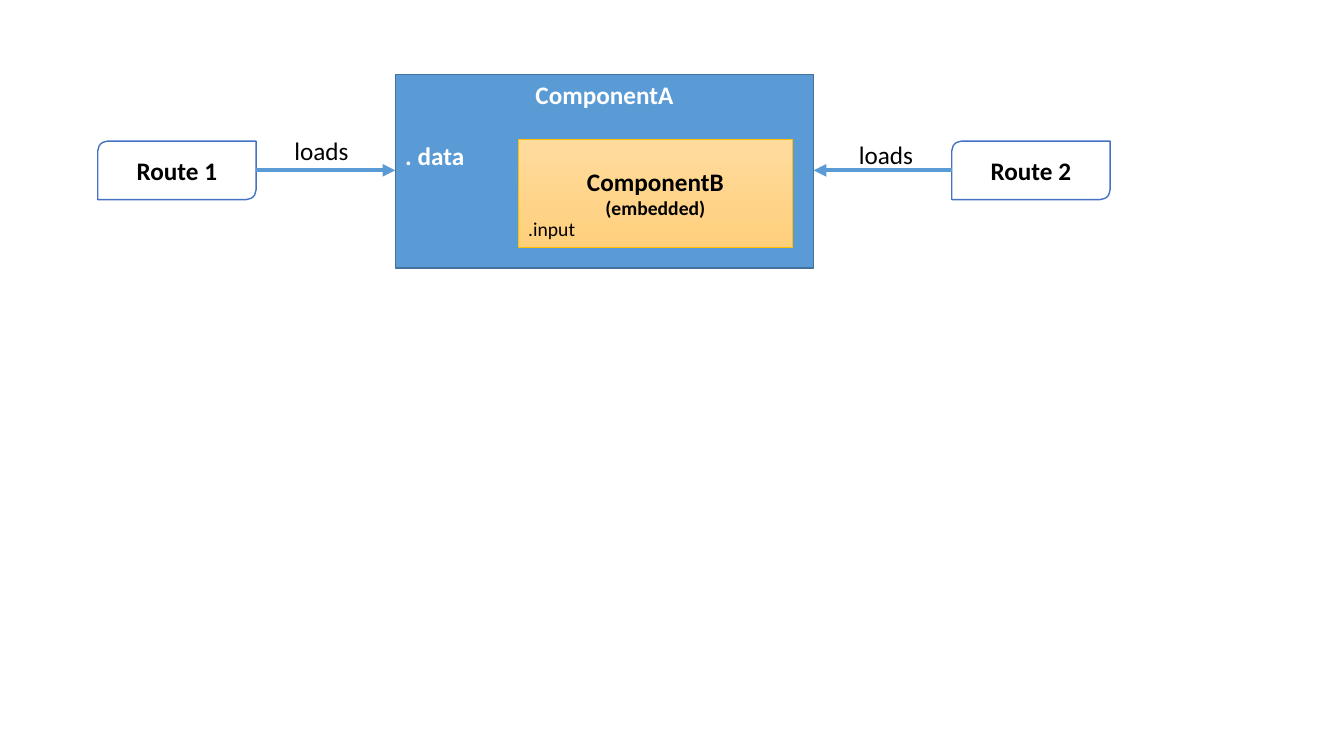
from pptx import Presentation
from pptx.dml.color import RGBColor
from pptx.enum.shapes import MSO_CONNECTOR as LINK, MSO_SHAPE as FORM
from pptx.enum.text import MSO_ANCHOR as ANCHOR, PP_ALIGN as ALIGN
from pptx.oxml.ns import qn
from pptx.util import Inches, Pt
from lxml.etree import SubElement

COLORS = {
    "white": "FFFFFF", "black": "000000", "blue": "5B9BD5", "edge": "43739E",
    "route": "4472C4", "gold": "FFC000", "light": "FFDB9E", "deep": "FFD07C",
}
MID = 1.69


def color(name):
    return RGBColor.from_string(COLORS[name])


def style(para, size=18, ink="black", bold=False, align=ALIGN.LEFT):
    para.alignment = align
    font = para.font
    font.name, font.size, font.bold = "Calibri", Pt(size), bold
    font.color.rgb = color(ink)


def add_box(slide, form, box, line, width=1, fill=None):
    shape = slide.shapes.add_shape(form, *map(Inches, box))
    shape.shadow.inherit = False
    shape.line.color.rgb = color(line)
    shape.line.width = Pt(width)
    if fill:
        shape.fill.solid()
        shape.fill.fore_color.rgb = color(fill)
    return shape


def add_route(slide, left, name):
    shape = add_box(slide, FORM.ROUND_2_DIAG_RECTANGLE,
                    (left, 1.4, 1.57, 0.58), "route", fill="white")
    para = shape.text_frame.paragraphs[0]
    para.text = name
    style(para, bold=True, align=ALIGN.CENTER)


def add_outer(slide):
    shape = add_box(slide, FORM.RECTANGLE, (3.92, 0.74, 4.15, 1.92), "edge", fill="blue")
    frame = shape.text_frame
    frame.vertical_anchor = ANCHOR.TOP
    head, data = frame.paragraphs[0], frame.add_paragraph()
    head.text, data.text = "ComponentA", ". data"
    style(head, ink="white", bold=True, align=ALIGN.CENTER)
    style(data, ink="white", bold=True)
    data.space_before = Pt(22)


def add_inner(slide):
    shape = add_box(slide, FORM.RECTANGLE, (5.14, 1.38, 2.72, 1.07), "gold", 0.5)
    shape.fill.gradient()
    shape.fill.gradient_angle = 270
    for stop, name in zip(shape.fill.gradient_stops, ("light", "deep")):
        stop.color.rgb = color(name)
    para = shape.text_frame.paragraphs[0]
    style(para, bold=True, align=ALIGN.CENTER)
    para.add_run().text = "ComponentB"
    para.add_line_break()
    note = para.add_run()
    note.text = "(embedded)"
    note.font.size = Pt(14)


def add_arrow(slide, start, end):
    link = slide.shapes.add_connector(
        LINK.STRAIGHT, Inches(start), Inches(MID), Inches(end), Inches(MID))
    link.line.color.rgb = color("blue")
    link.line.width = Pt(3)
    SubElement(link.line._get_or_add_ln(), qn("a:tailEnd"), type="triangle")
    SubElement(link._element.spPr, qn("a:effectLst"))


def add_label(slide, box, text, size=18):
    frame = slide.shapes.add_textbox(*map(Inches, box)).text_frame
    frame.word_wrap = False
    para = frame.paragraphs[0]
    para.text = text
    style(para, size)


def main():
    deck = Presentation()
    deck.slide_width, deck.slide_height = Inches(13.33), Inches(7.5)
    slide = deck.slides.add_slide(deck.slide_layouts[6])
    add_route(slide, 0.97, "Route 1")
    add_route(slide, 9.44, "Route 2")
    add_outer(slide)
    add_inner(slide)
    add_arrow(slide, 2.54, 3.92)
    add_arrow(slide, 9.44, 8.07)
    add_label(slide, (2.82, 1.29, 0.75, 0.4), "loads")
    add_label(slide, (8.42, 1.33, 0.75, 0.4), "loads")
    add_label(slide, (5.14, 2.1, 0.67, 0.34), ".input", 14)
    deck.save("out.pptx")


main()
